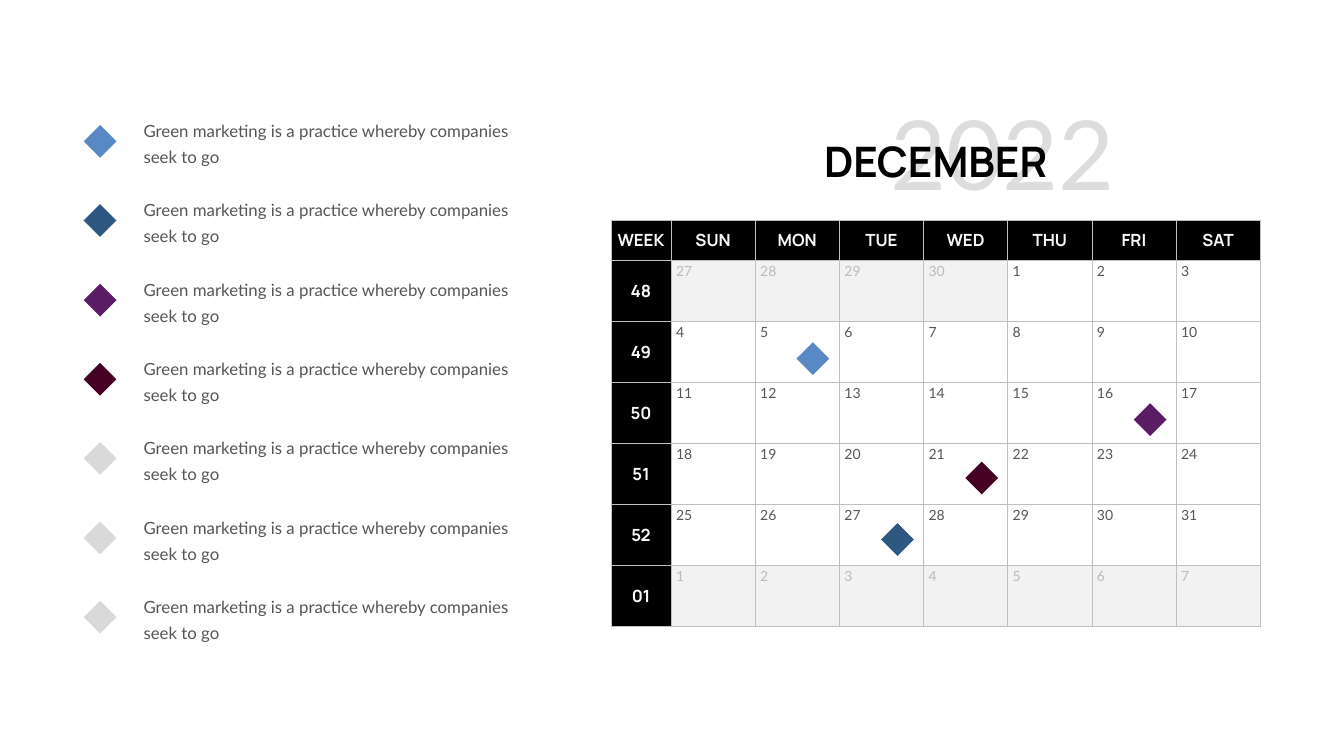
"""Build a December 2022 calendar slide with a colour-coded legend."""

from dataclasses import dataclass
from typing import Any

from lxml import etree
from pptx import Presentation
from pptx.dml.color import RGBColor
from pptx.enum.shapes import MSO_SHAPE
from pptx.enum.text import MSO_ANCHOR, MSO_AUTO_SIZE, PP_ALIGN
from pptx.oxml.ns import qn
from pptx.util import Pt

PX = 9144
TITLE_ONLY_LAYOUT = 5
DIAMOND = MSO_SHAPE.DIAMOND
CENTER, LEFT = PP_ALIGN.CENTER, PP_ALIGN.LEFT
TOP, MIDDLE = MSO_ANCHOR.TOP, MSO_ANCHOR.MIDDLE
GROW = MSO_AUTO_SIZE.SHAPE_TO_FIT_TEXT

BLACK = RGBColor(0x00, 0x00, 0x00)
WHITE = RGBColor(0xFF, 0xFF, 0xFF)
OFF_WHITE = RGBColor(0xF9, 0xF9, 0xF9)
PALE_GRAY = RGBColor(0xF2, 0xF2, 0xF2)
LIGHT_GRAY = RGBColor(0xD9, 0xD9, 0xD9)
BORDER_GRAY = RGBColor(0xBF, 0xBF, 0xBF)
MUTED_GRAY = RGBColor(0xBB, 0xBB, 0xBB)
TEXT_GRAY = RGBColor(0x56, 0x56, 0x56)
BLUE = RGBColor(0x58, 0x89, 0xC5)
NAVY = RGBColor(0x2E, 0x58, 0x82)
PURPLE = RGBColor(0x5A, 0x1C, 0x64)
MAROON = RGBColor(0x46, 0x02, 0x24)

WEEKDAYS = ["SUN", "MON", "TUE", "WED", "THU", "FRI", "SAT"]
WEEKS = ["48", "49", "50", "51", "52", "01"]
DAYS = [*range(27, 31), *range(1, 32), *range(1, 8)]
MONTH_CELLS = range(4, 35)
WEEK_WIDTH, DAY_WIDTH = 119, 167
HEADER_HEIGHT, WEEK_HEIGHT = 80, 121

MARKER_SIZE = 65
LEGEND_TEXT = "Green marketing is a practice whereby companies seek to go"
LEGEND_COLORS = [BLUE, NAVY, PURPLE, MAROON, LIGHT_GRAY, LIGHT_GRAY, LIGHT_GRAY]
LEGEND_SPAN = 944


@dataclass(frozen=True)
class TextStyle:
    size: int
    font: str
    color: RGBColor
    bold: bool = False
    align: Any = LEFT
    anchor: Any = TOP


@dataclass(frozen=True)
class Marker:
    left: int
    top: int
    color: RGBColor


HEADING = TextStyle(24, "Manrope", OFF_WHITE, True, CENTER, MIDDLE)
MONTH_DAY = TextStyle(20, "Lato", TEXT_GRAY)
OTHER_DAY = TextStyle(20, "Lato", MUTED_GRAY)
YEAR = TextStyle(138, "Lato", TEXT_GRAY)
TITLE = TextStyle(60, "Manrope", BLACK, True, CENTER)
LEGEND = TextStyle(24, "Lato", TEXT_GRAY, anchor=MIDDLE)

EVENTS = [
    Marker(1580, 679, BLUE),
    Marker(1748, 1038, NAVY),
    Marker(2249, 800, PURPLE),
    Marker(1915, 916, MAROON),
]


def write_text(text_frame: Any, text: str, style: TextStyle) -> None:
    text_frame.text = text
    paragraph = text_frame.paragraphs[0]
    paragraph.alignment = style.align
    font = paragraph.runs[0].font
    font.size = Pt(style.size)
    font.name = style.font
    font.bold = style.bold
    font.color.rgb = style.color


def write_box(shape: Any, text: str, style: TextStyle, wrap: bool) -> None:
    write_text(shape.text_frame, text, style)
    shape.text_frame.word_wrap = wrap
    shape.text_frame.auto_size = GROW
    shape.text_frame.vertical_anchor = style.anchor


def add_marker(shapes: Any, marker: Marker) -> None:
    shape = shapes.add_shape(
        DIAMOND, marker.left * PX, marker.top * PX, MARKER_SIZE * PX, MARKER_SIZE * PX
    )
    shape.shadow.inherit = False
    shape.fill.solid()
    shape.fill.fore_color.rgb = marker.color
    shape.line.fill.background()


def format_cell(cell: Any, text: str, style: TextStyle, fill: RGBColor) -> None:
    properties = cell._tc.get_or_add_tcPr()
    for side in ("a:lnL", "a:lnR", "a:lnT", "a:lnB"):
        line = etree.SubElement(properties, qn(side), w=str(Pt(1)))
        solid_fill = etree.SubElement(line, qn("a:solidFill"))
        etree.SubElement(solid_fill, qn("a:srgbClr"), val=str(BORDER_GRAY))
    cell.fill.solid()
    cell.fill.fore_color.rgb = fill
    cell.vertical_anchor = style.anchor
    write_text(cell.text_frame, text, style)


def add_calendar(slide: Any) -> None:
    rows, columns = len(WEEKS) + 1, len(WEEKDAYS) + 1
    width = WEEK_WIDTH + len(WEEKDAYS) * DAY_WIDTH
    height = HEADER_HEIGHT + len(WEEKS) * WEEK_HEIGHT
    table = slide.shapes.add_table(
        rows, columns, 1212 * PX, 437 * PX, width * PX, height * PX
    ).table
    table.first_row = False
    table.horz_banding = False
    for index, column in enumerate(table.columns):
        column.width = (DAY_WIDTH if index else WEEK_WIDTH) * PX
    for index, row in enumerate(table.rows):
        row.height = (WEEK_HEIGHT if index else HEADER_HEIGHT) * PX

    for index, heading in enumerate(["WEEK", *WEEKDAYS]):
        format_cell(table.cell(0, index), heading, HEADING, BLACK)
    for index, week in enumerate(WEEKS, start=1):
        format_cell(table.cell(index, 0), week, HEADING, BLACK)
    for index, day in enumerate(DAYS):
        week, weekday = divmod(index, len(WEEKDAYS))
        in_month = index in MONTH_CELLS
        style, fill = (MONTH_DAY, WHITE) if in_month else (OTHER_DAY, PALE_GRAY)
        format_cell(table.cell(week + 1, weekday + 1), str(day), style, fill)


def add_heading(slide: Any) -> None:
    year = slide.shapes.add_textbox(1756 * PX, 181 * PX, 469 * PX, 242 * PX)
    write_box(year, "2022", YEAR, wrap=False)
    for color in year.element.iter(qn("a:srgbClr")):
        etree.SubElement(color, qn("a:alpha"), val="20000")

    title = slide.shapes.title
    title.left, title.top = 1621 * PX, 263 * PX
    title.width, title.height = 470 * PX, 111 * PX
    write_box(title, "DECEMBER", TITLE, wrap=False)
    title.element.getparent().append(title.element)


def add_legend(slide: Any) -> None:
    shapes = slide.shapes.add_group_shape().shapes
    for index, color in enumerate(LEGEND_COLORS):
        offset = round(index * LEGEND_SPAN / (len(LEGEND_COLORS) - 1))
        add_marker(shapes, Marker(166, 248 + offset, color))
        label = shapes.add_textbox(275 * PX, (226 + offset) * PX, 746 * PX, 108 * PX)
        write_box(label, LEGEND_TEXT, LEGEND, wrap=True)
        label.text_frame.paragraphs[0].line_spacing = Pt(37)


def main() -> None:
    presentation = Presentation()
    presentation.slide_width = 2666 * PX
    presentation.slide_height = 1500 * PX
    slide = presentation.slides.add_slide(presentation.slide_layouts[TITLE_ONLY_LAYOUT])
    add_calendar(slide)
    add_heading(slide)
    for event in EVENTS:
        add_marker(slide.shapes, event)
    add_legend(slide)
    presentation.save("out.pptx")


if __name__ == "__main__":
    main()
